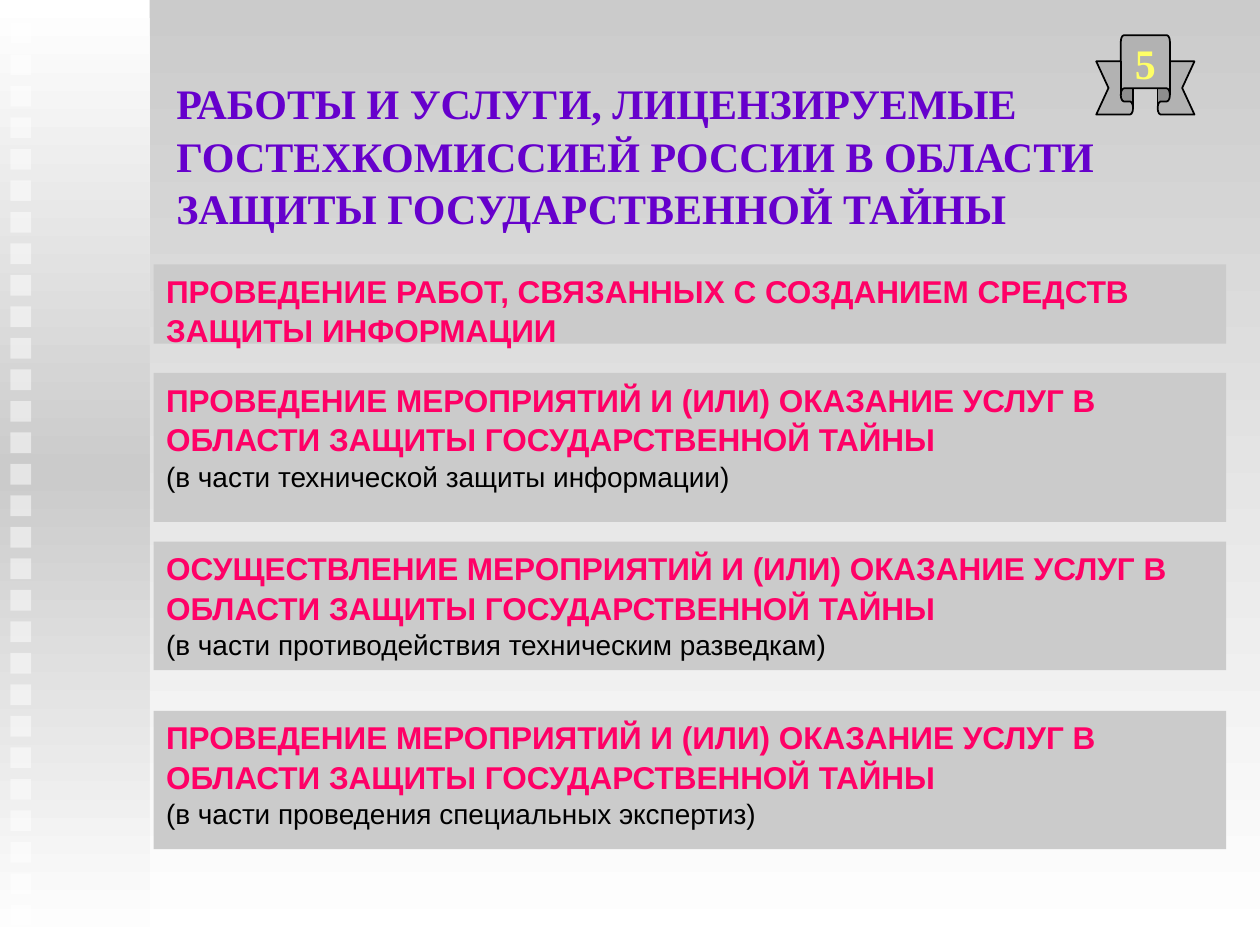
import copy

import pptx
import pptx.dml.color
import pptx.enum.shapes
import pptx.enum.text
import pptx.oxml.ns
import pptx.util
from pptx.util import Cm

RGBColor = pptx.dml.color.RGBColor
SHAPE = pptx.enum.shapes.MSO_SHAPE
ALIGN = pptx.enum.text.PP_ALIGN
ANCHOR = pptx.enum.text.MSO_ANCHOR
qn = pptx.oxml.ns.qn

WHITE = RGBColor(0xFF, 0xFF, 0xFF)
BLACK = RGBColor(0x00, 0x00, 0x00)
GREY = RGBColor(0xCB, 0xCB, 0xCB)
RIBBON_GREY = RGBColor(0xB2, 0xB2, 0xB2)
PURPLE = RGBColor(0x66, 0x00, 0xCC)
PINK = RGBColor(0xFF, 0x00, 0x66)
YELLOW = RGBColor(0xFF, 0xFF, 0x66)

LINE_SPACING = 1.04
SQUARE_COUNT = 29
SQUARE_FIRST, SQUARE_LAST = 0.46, 18.24

TITLE = ("РАБОТЫ И УСЛУГИ, ЛИЦЕНЗИРУЕМЫЕ\v"
         "ГОСТЕХКОМИССИЕЙ РОССИИ В ОБЛАСТИ ЗАЩИТЫ ГОСУДАРСТВЕННОЙ ТАЙНЫ")
SERVICES = "МЕРОПРИЯТИЙ И (ИЛИ) ОКАЗАНИЕ УСЛУГ В ОБЛАСТИ ЗАЩИТЫ ГОСУДАРСТВЕННОЙ ТАЙНЫ"

# Top and height in centimetres, heading, optional detail
WORKS = [
    (5.33, 1.6, "ПРОВЕДЕНИЕ РАБОТ, СВЯЗАННЫХ С СОЗДАНИЕМ СРЕДСТВ ЗАЩИТЫ ИНФОРМАЦИИ", None),
    (7.52, 3, "ПРОВЕДЕНИЕ " + SERVICES, "(в части технической защиты информации)"),
    (10.92, 2.59, "ОСУЩЕСТВЛЕНИЕ " + SERVICES, "(в части противодействия техническим разведкам)"),
    (14.33, 2.79, "ПРОВЕДЕНИЕ " + SERVICES, "(в части проведения специальных экспертиз)"),
]


def format_paragraph(para, size, color, font="Arial", bold=True, align=ALIGN.LEFT):
    para.alignment = align
    para.line_spacing = LINE_SPACING
    para.space_before = para.space_after = pptx.util.Pt(0)
    for span in para.runs:
        span.font.size = pptx.util.Pt(size)
        span.font.name = font
        span.font.bold = bold
        span.font.color.rgb = color
    # Line breaks take the format of the text around them
    for line_break in para._p.findall(qn("a:br")):
        line_break.append(copy.deepcopy(para.runs[0]._r.rPr))


def fill_vertical_gradient(fill, element, colors):
    fill.gradient()
    fill.gradient_angle = 270
    stop_list = next(element.iter(qn("a:gsLst")))
    while len(stop_list) < len(colors):
        stop_list.append(copy.deepcopy(stop_list[0]))
    for index, (stop, color) in enumerate(zip(fill.gradient_stops, colors)):
        stop.color.rgb = color
        stop.position = index / (len(colors) - 1)


def add_plain_shape(page, kind, left, top, width, height, color=None):
    shape = page.shapes.add_shape(kind, Cm(left), Cm(top), Cm(width), Cm(height))
    shape.shadow.inherit = False
    shape.line.fill.background()
    if color is not None:
        shape.fill.solid()
        shape.fill.fore_color.rgb = color
    return shape


def add_side_band(page, deck):
    band = add_plain_shape(page, SHAPE.RECTANGLE, 0, 0, 3.02, deck.slide_height.cm)
    fill_vertical_gradient(band.fill, band.element, [WHITE, GREY, WHITE])
    step = (SQUARE_LAST - SQUARE_FIRST) / (SQUARE_COUNT - 1)
    for index in range(SQUARE_COUNT):
        square = add_plain_shape(page, SHAPE.RECTANGLE, 0.21,
                                 SQUARE_FIRST + index * step, 0.42, 0.42, WHITE)
        color = next(square.element.spPr.iter(qn("a:srgbClr")))
        alpha = color.makeelement(qn("a:alpha"), {"val": "50000"})
        color.append(alpha)


def set_title(page):
    title = page.shapes.title
    title.left, title.top, title.width, title.height = Cm(3.3), Cm(1.52), Cm(19.4), Cm(3.18)
    frame = title.text_frame
    frame.text = TITLE
    frame.word_wrap = True
    frame.auto_size = pptx.enum.text.MSO_AUTO_SIZE.NONE
    frame.vertical_anchor = ANCHOR.MIDDLE
    format_paragraph(frame.paragraphs[0], 24, PURPLE, "Times New Roman")


def add_number_ribbon(page, number):
    ribbon = add_plain_shape(page, SHAPE.UP_RIBBON, 22.1, 0.71, 1.98, 1.6, RIBBON_GREY)
    ribbon.adjustments[0] = 0.33
    ribbon.adjustments[1] = 0.5
    ribbon.line.color.rgb = BLACK
    ribbon.line.width = pptx.util.Pt(1)
    frame = ribbon.text_frame
    frame.text = number
    frame.word_wrap = False
    frame.vertical_anchor = ANCHOR.MIDDLE
    format_paragraph(frame.paragraphs[0], 24, YELLOW, "Times New Roman", align=ALIGN.CENTER)


def add_work_box(page, top, height, heading, detail):
    box = add_plain_shape(page, SHAPE.RECTANGLE, 3.1, top, 21.62, height, GREY)
    frame = box.text_frame
    frame.vertical_anchor = ANCHOR.TOP
    frame.text = heading
    format_paragraph(frame.paragraphs[0], 18, PINK)
    if detail:
        para = frame.add_paragraph()
        para.text = detail
        format_paragraph(para, 16, BLACK, bold=False)


def main():
    deck = pptx.Presentation()
    deck.slide_width, deck.slide_height = Cm(25.4), Cm(19.05)
    page = deck.slides.add_slide(deck.slide_layouts[5])

    # Background and decoration
    fill_vertical_gradient(page.background.fill, page.element, [GREY, WHITE])
    add_side_band(page, deck)

    # Heading and slide number
    set_title(page)
    add_number_ribbon(page, "5")

    # Licensed works
    for work in WORKS:
        add_work_box(page, *work)

    deck.save("out.pptx")


if __name__ == "__main__":
    main()
